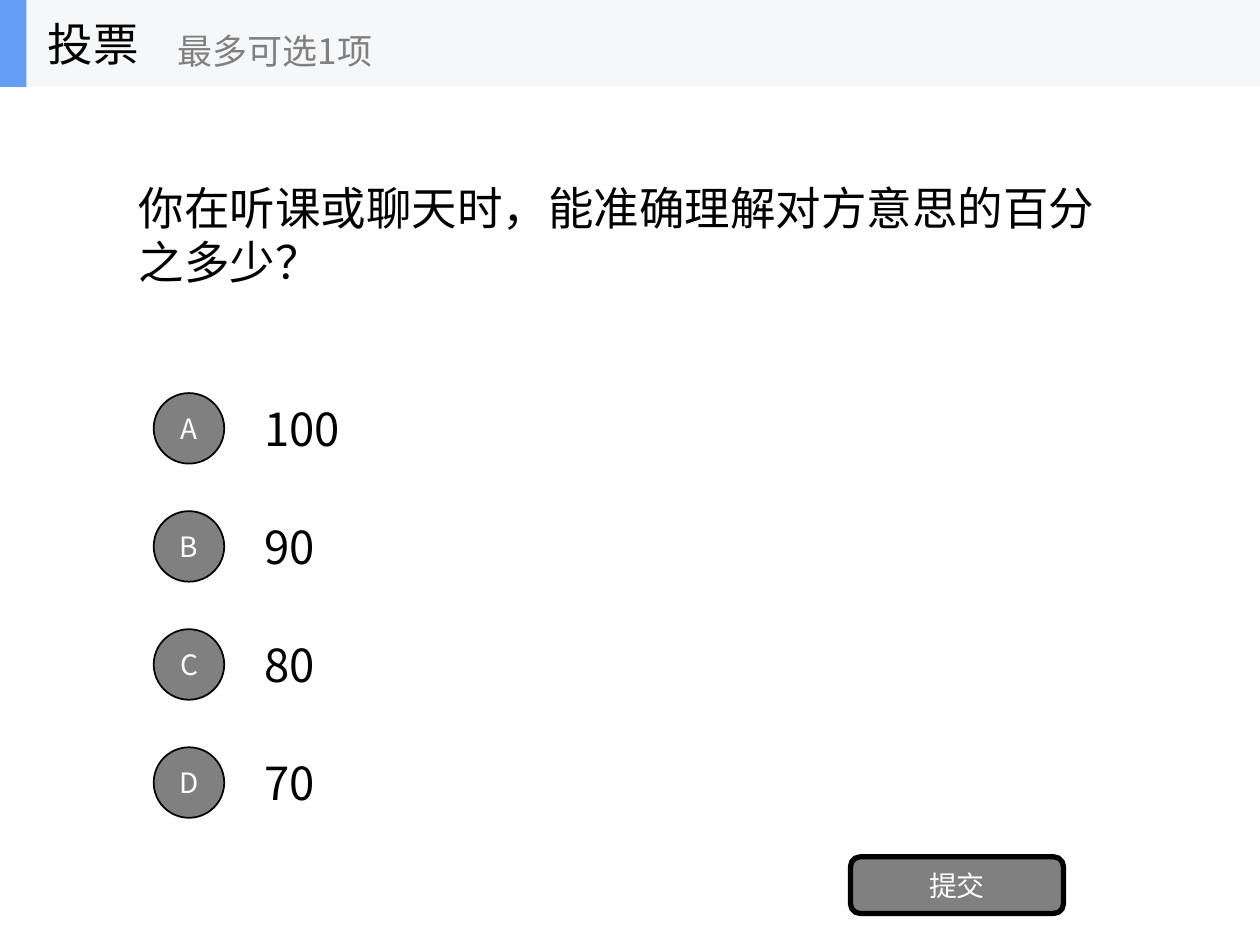
from pptx import Presentation
from pptx.dml.color import RGBColor
from pptx.enum.shapes import MSO_SHAPE as Shape
from pptx.enum.text import MSO_ANCHOR as Anchor, MSO_AUTO_SIZE as Fit, PP_ALIGN as Align
from pptx.oxml.ns import qn
from pptx.util import Inches, Pt
from lxml.etree import SubElement

FONT = "Noto Sans CJK SC"
BLACK = RGBColor(0x00, 0x00, 0x00)
WHITE = RGBColor(0xFF, 0xFF, 0xFF)
GRAY = RGBColor(0x80, 0x80, 0x80)
PALE = RGBColor(0xF6, 0xF7, 0xF8)
BLUE = RGBColor(0x63, 0x9E, 0xF4)

OPTIONS = {"A": "100", "B": "90", "C": "80", "D": "70"}
TOP, STEP = 3.05, 0.937  # first option row and row pitch


def set_text(shape, text, size, color, align=Align.LEFT, wrap=True):
    frame = shape.text_frame
    frame.auto_size = Fit.NONE
    frame.word_wrap = wrap
    frame.vertical_anchor = Anchor.MIDDLE
    par = frame.paragraphs[0]
    par.text = text
    par.alignment = align
    font = par.font
    font.name, font.size, font.color.rgb = FONT, Pt(size), color
    # East Asian glyphs need their own typeface entry
    props = par._p.pPr.find(qn("a:defRPr"))
    SubElement(props, qn("a:ea"), typeface=FONT)


def add_text(shapes, box, text, size, color, wrap=True):
    label = shapes.add_textbox(*map(Inches, box))
    set_text(label, text, size, color, wrap=wrap)


def add_block(shapes, kind, box, fill, line=0):
    block = shapes.add_shape(kind, *map(Inches, box))
    block.shadow.inherit = False
    block.fill.solid()
    block.fill.fore_color.rgb = fill
    if line:
        block.line.color.rgb = BLACK
        block.line.width = Pt(line)
    else:
        block.line.fill.background()
    return block


def add_button(shapes, kind, box, text, line):
    button = add_block(shapes, kind, box, GRAY, line)
    set_text(button, text, 16, WHITE, Align.CENTER)
    return button


def add_header(slide):
    parts = slide.shapes.add_group_shape().shapes
    add_block(parts, Shape.RECTANGLE, (0, 0, 10, 0.69), PALE)
    add_block(parts, Shape.RECTANGLE, (0, 0, 0.21, 0.69), BLUE)
    add_text(parts, (0.28, 0, 2.08, 0.69), "投票", 26, BLACK, wrap=False)
    add_text(parts, (1.31, 0.12, 2.5, 0.56), "最多可选1项", 20, GRAY, wrap=False)


def main():
    deck = Presentation()
    deck.slide_width, deck.slide_height = Inches(10), Inches(7.5)
    slide = deck.slides.add_slide(deck.slide_layouts[5])
    shapes = slide.shapes

    # Question
    title = shapes.title
    title.left, title.top, title.width, title.height = map(Inches, (1, 0.69, 8, 2.34))
    set_text(title, "你在听课或聊天时，能准确理解对方意思的百分之多少？", 26, BLACK)

    # Answer options
    for row, (letter, answer) in enumerate(OPTIONS.items()):
        top = TOP + row * STEP
        add_text(shapes, (2, top, 7, 0.7), answer, 26, BLACK)
        add_button(shapes, Shape.OVAL, (1.22, top + 0.07, 0.56, 0.56), letter, 1)

    # Submit button
    submit = add_button(shapes, Shape.ROUNDED_RECTANGLE, (6.75, 6.8, 1.69, 0.45), "提交", 3)
    submit.adjustments[0] = 0.17

    add_header(slide)
    deck.save("out.pptx")


if __name__ == "__main__":
    main()
